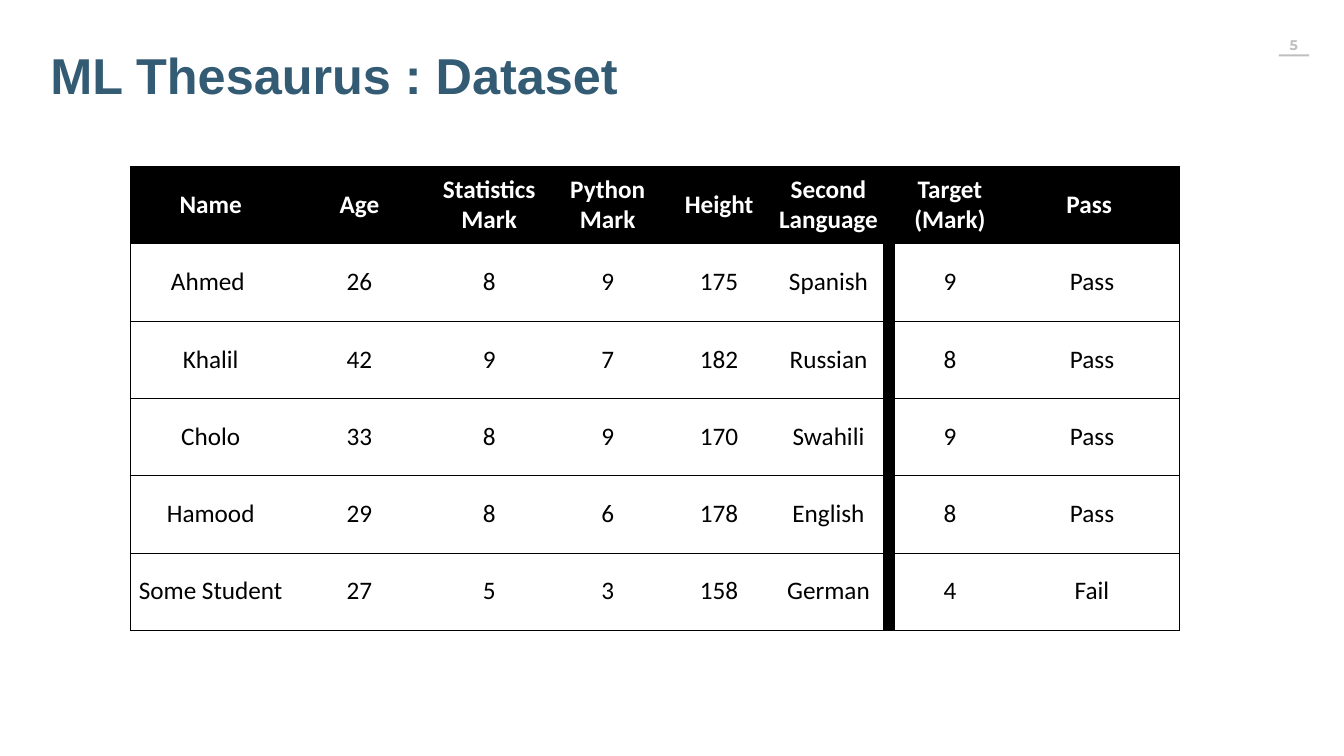
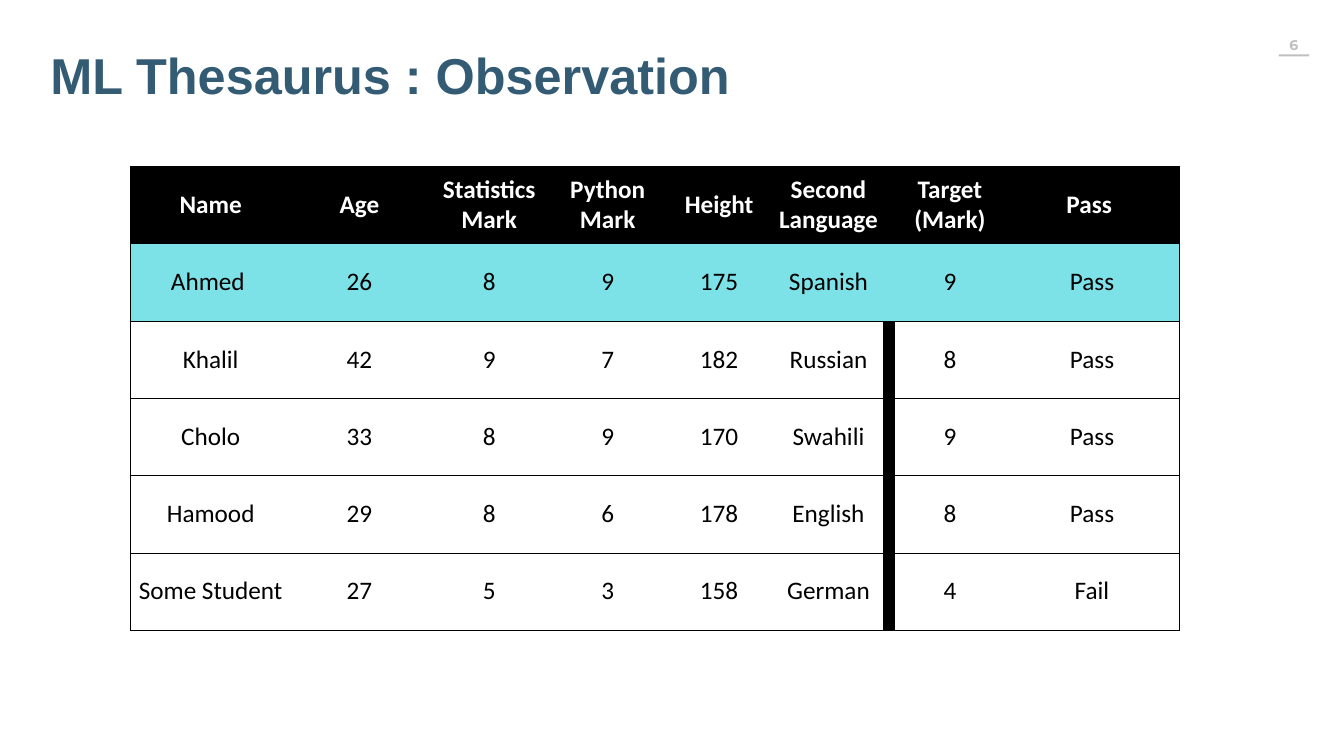
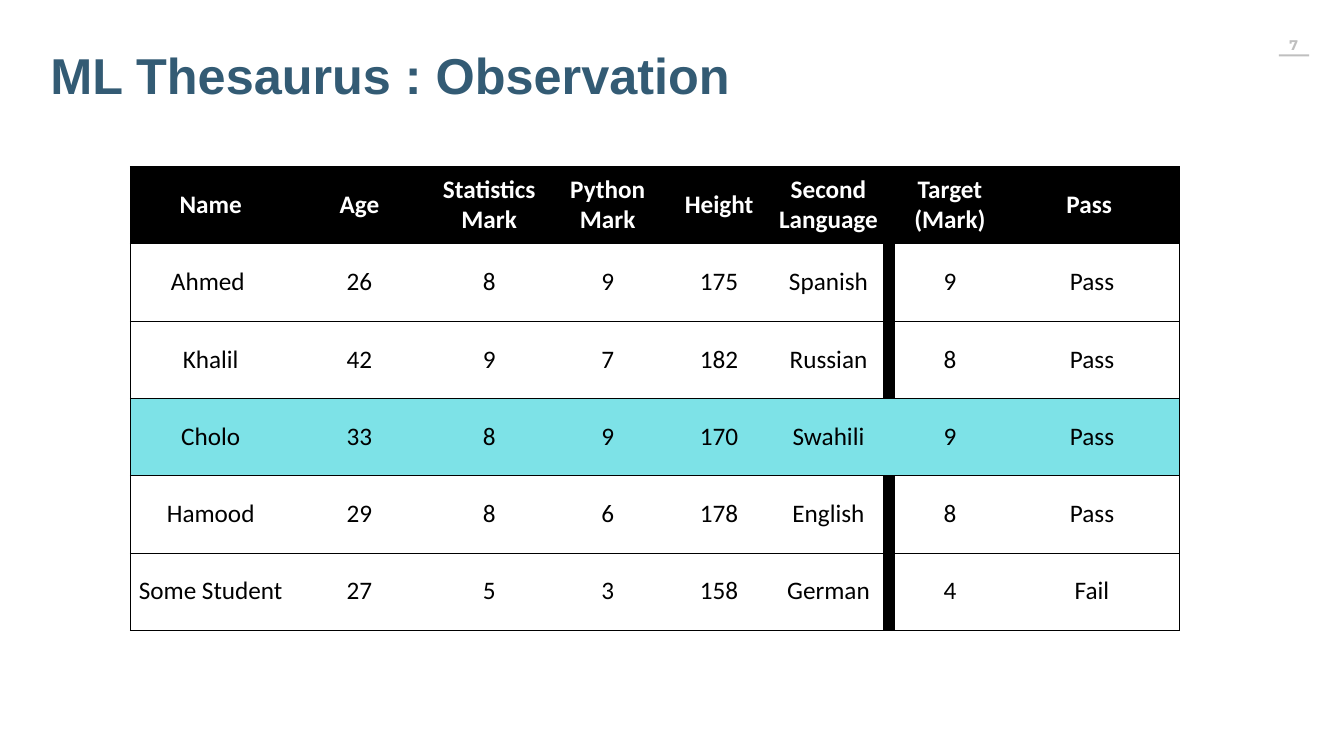
import dataclasses

import lxml.etree
import pptx
import pptx.dml.color
import pptx.enum.shapes
import pptx.enum.text
import pptx.oxml.ns
import pptx.util

Cm = pptx.util.Cm
Pt = pptx.util.Pt
Align = pptx.enum.text.PP_ALIGN
Anchor = pptx.enum.text.MSO_ANCHOR


@dataclasses.dataclass(frozen=True)
class Theme:
    """Colours, fonts and type sizes of the deck."""
    title: str = "335B74"
    black: str = "000000"
    white: str = "FFFFFF"
    grey: str = "BFBFBF"
    mark: str = "7DE2E7"
    head_font: str = "Arial"
    body_font: str = "Calibri"
    page_font: str = "Montserrat"
    head_size: int = 72
    body_size: int = 36
    page_size: int = 20
    line: float = 0.5


THEME = Theme()
SIZE = (67.72, 38.1)
TITLE_BOX = (2.29, 2.08, 53.09, 3.33)
PAGE_BOX = (64.29, 1.57, 2.18, 1.37)
TABLE_BOX = (6.55, 8.38, 52.83, 23.37)
WIDTHS = (8.13, 6.86, 6.22, 5.72, 5.51, 5.51, 0.58, 5.51, 8.81)
GUTTER = 6

HEADS = ("Name", "Age", "Statistics Mark", "Python Mark", "Height",
         "Second Language", "", "Target\n(Mark)", "Pass ")
PUPILS = (
    ("Ahmed ", "26", "8", "9", "175", "Spanish", "", "9", "Pass"),
    ("Khalil", "42", "9", "7", "182", "Russian", "", "8", "Pass"),
    ("Cholo", "33", "8", "9", "170", "Swahili", "", "9", "Pass"),
    ("Hamood", "29", "8", "6", "178", "English", "", "8", "Pass"),
    ("Some Student", "27", "5", "3", "158", "German", "", "4", "Fail"),
)
SLIDES = (
    (5, "ML Thesaurus : Dataset", None),
    (6, "ML Thesaurus : Observation", 1),
    (7, "ML Thesaurus : Observation", 3),
)


def rgb(code):
    """Turn a hex code into a colour."""
    return pptx.dml.color.RGBColor.from_string(code)


def style(frame, font, size, colour, bold, align):
    """Format every run in a text frame."""
    for para in frame.paragraphs:
        para.alignment = align
        for run in para.runs:
            run.font.name = font
            run.font.size = Pt(size)
            run.font.bold = bold
            run.font.color.rgb = rgb(colour)


def add_title(slide, box, text):
    """Place the slide title in its box."""
    frame = slide.shapes.add_textbox(*map(Cm, box)).text_frame
    frame.word_wrap = True
    frame.text = text
    style(frame, THEME.head_font, THEME.head_size, THEME.title, True, Align.LEFT)


def add_page(slide, box, number):
    """Place the page number and the rule below it."""
    left, top, width, height = box
    frame = slide.shapes.add_textbox(*map(Cm, box)).text_frame
    frame.word_wrap = True
    frame.margin_left, frame.margin_right = Cm(0.5), Cm(0.88)
    frame.margin_top = frame.margin_bottom = Cm(0.25)
    frame.text = str(number)
    style(frame, THEME.page_font, THEME.page_size, THEME.grey, True, Align.CENTER)
    rule = slide.shapes.add_shape(
        pptx.enum.shapes.MSO_SHAPE.RECTANGLE,
        Cm(left + 0.15), Cm(top + 1.17), Cm(1.52), Cm(0.1))
    rule.shadow.inherit = False
    rule.fill.solid()
    rule.fill.fore_color.rgb = rgb(THEME.grey)
    rule.line.fill.background()


def set_edges(cell, shown):
    """Draw the shown sides of a cell and clear the others."""
    props = cell._tc.get_or_add_tcPr()
    name = pptx.oxml.ns.qn
    for side in "LRTB":
        line = lxml.etree.SubElement(props, name(f"a:ln{side}"))
        if side in shown:
            line.set("w", str(Pt(THEME.line)))
            fill = lxml.etree.SubElement(line, name("a:solidFill"))
            lxml.etree.SubElement(fill, name("a:srgbClr"), val=THEME.black)
        else:
            lxml.etree.SubElement(line, name("a:noFill"))


def fill_cell(cell, text, row, col, marked):
    """Write and format one table cell."""
    head = row == 0
    sides = "TB" + "L" * (col == 0) + "R" * (col == len(WIDTHS) - 1)
    set_edges(cell, sides)
    if marked:
        colour = THEME.mark
    elif head or col == GUTTER:
        colour = THEME.black
    else:
        colour = None
    if colour:
        cell.fill.solid()
        cell.fill.fore_color.rgb = rgb(colour)
    else:
        cell.fill.background()
    cell.vertical_anchor = Anchor.MIDDLE
    if text:
        cell.text_frame.text = text
        ink = THEME.white if head else THEME.black
        style(cell.text_frame, THEME.body_font, THEME.body_size, ink, head, Align.CENTER)


def add_grid(slide, box, marked):
    """Place the table of pupils, with one row marked if asked."""
    rows = (HEADS, *PUPILS)
    table = slide.shapes.add_table(len(rows), len(WIDTHS), *map(Cm, box)).table
    table.first_row = table.horz_banding = False
    for column, width in zip(table.columns, WIDTHS):
        column.width = Cm(width)
    for r, texts in enumerate(rows):
        table.rows[r].height = Cm(box[3] / len(rows))
        for c, text in enumerate(texts):
            fill_cell(table.cell(r, c), text, r, c, r == marked)


def add_slide(deck, number, title, marked):
    """Build one table slide."""
    slide = deck.slides.add_slide(deck.slide_layouts[6])
    add_page(slide, PAGE_BOX, number)
    add_title(slide, TITLE_BOX, title)
    add_grid(slide, TABLE_BOX, marked)


def main():
    """Build and save the deck."""
    deck = pptx.Presentation()
    deck.slide_width, deck.slide_height = map(Cm, SIZE)
    for number, title, marked in SLIDES:
        add_slide(deck, number, title, marked)
    deck.save("out.pptx")


if __name__ == "__main__":
    main()
